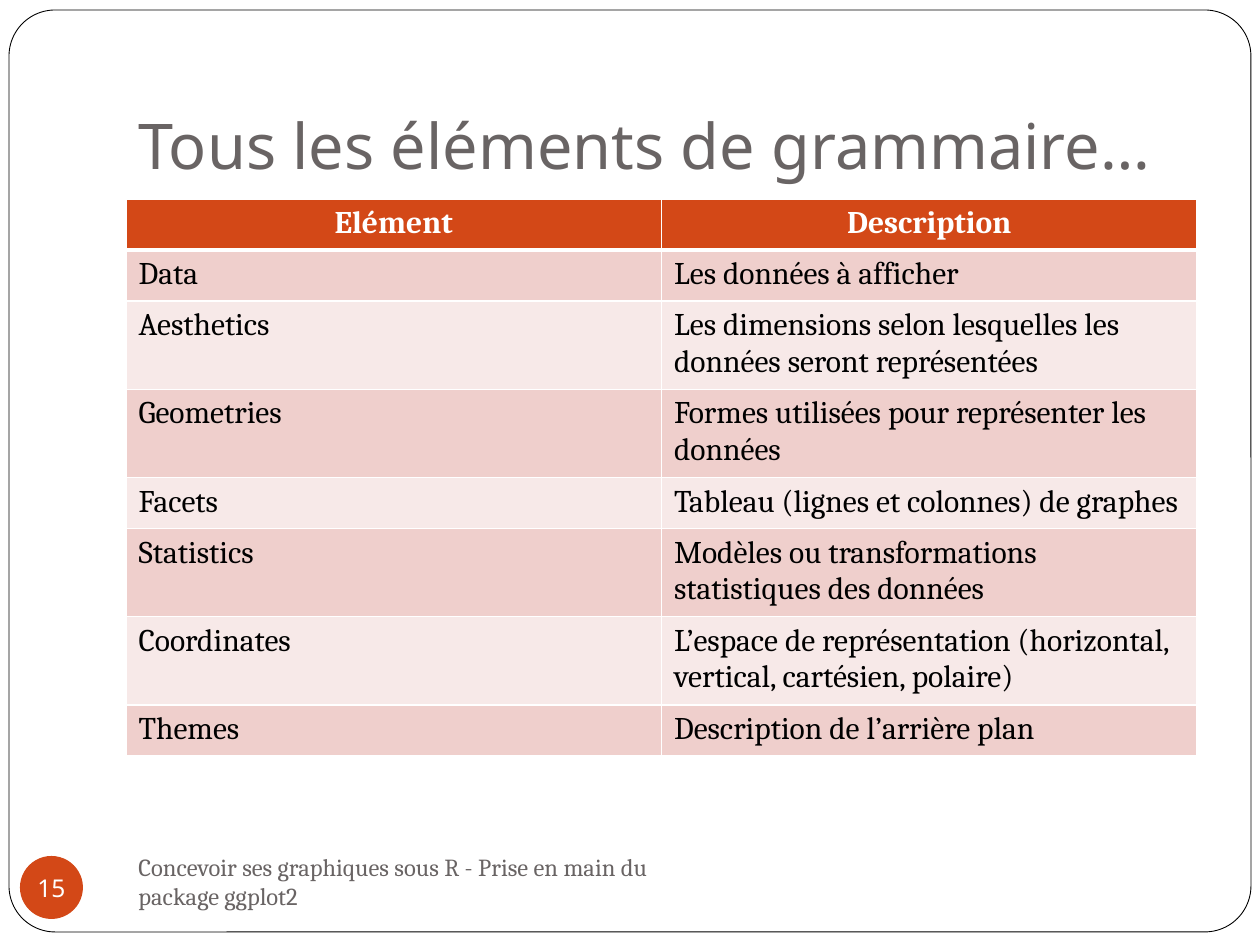
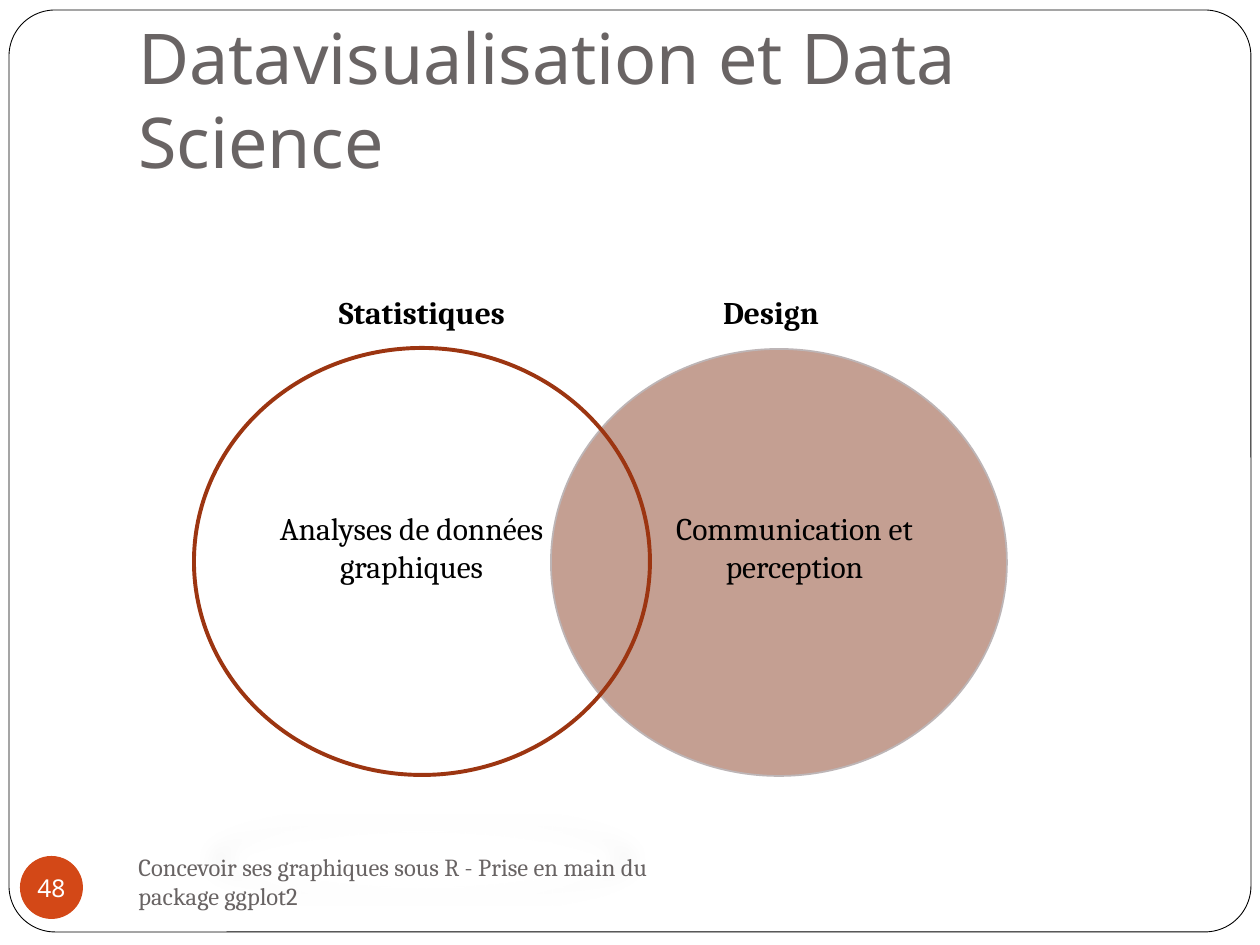
"""Two slides on the grammar of graphics: a table of elements and a Venn diagram."""
from dataclasses import dataclass
from typing import NamedTuple

from lxml.etree import SubElement
from pptx import Presentation
from pptx.dml.color import RGBColor
from pptx.enum.shapes import MSO_SHAPE
from pptx.enum.text import MSO_ANCHOR, PP_ALIGN
from pptx.oxml import parse_xml
from pptx.oxml.ns import nsdecls, qn
from pptx.util import Emu, Pt

EMU_PER_PIXEL = 914400 / 126


@dataclass(frozen=True)
class Theme:
    """Colours, fonts and type sizes shared by the slides."""
    accent: str = "D34817"
    outline: str = "9C3511"
    disc: str = "C49F92"
    disc_edge: str = "BDB5B6"
    band_dark: str = "EFCFCC"
    band_light: str = "F7E9E8"
    grey: str = "696464"
    black: str = "000000"
    white: str = "FFFFFF"
    heading_font: str = "Noto Sans"
    body_font: str = "Cambria"
    body_size: int = 18
    small_size: int = 14


THEME = Theme()


class Box(NamedTuple):
    """A rectangle in pixels."""
    left: int
    top: int
    width: int
    height: int

    def emu(self) -> list[Emu]:
        """Return the four lengths in EMU."""
        return [pixels(length) for length in self]


@dataclass(frozen=True)
class TextStyle:
    """How a piece of text is set."""
    size: int = THEME.body_size
    font: str = THEME.body_font
    color: str = THEME.black
    bold: bool = False
    align: PP_ALIGN = PP_ALIGN.LEFT


@dataclass(frozen=True)
class Label:
    """A centred caption of the Venn diagram."""
    box: Box
    text: str
    bold: bool = False


FOOTER = "Concevoir ses graphiques sous R - Prise en main du package ggplot2"
FRAME_BOX = Box(9, 10, 1242, 922)
TITLE_BOX = Box(126, 38, 1071, 157)
FOOTER_BOX = Box(126, 850, 546, 63)
NUMBER_BOX = Box(20, 856, 63, 63)
TABLE_BOX = Box(126, 199, 1071, 408)

FOOTER_STYLE = TextStyle(THEME.small_size, color=THEME.grey)
NUMBER_STYLE = TextStyle(THEME.small_size, THEME.heading_font, THEME.white,
                         align=PP_ALIGN.CENTER)
HEADER_STYLE = TextStyle(color=THEME.white, bold=True, align=PP_ALIGN.CENTER)

ELEMENTS = [
    ("Elément", "Description"),
    ("Data", "Les données à afficher"),
    ("Aesthetics", "Les dimensions selon lesquelles les données seront représentées"),
    ("Geometries", "Formes utilisées pour représenter les données"),
    ("Facets", "Tableau (lignes et colonnes) de graphes"),
    ("Statistics", "Modèles ou transformations statistiques des données"),
    ("Coordinates", "L’espace de représentation (horizontal, vertical, cartésien, polaire)"),
    ("Themes", "Description de l’arrière plan"),
]

LABELS = [
    Label(Box(233, 503, 357, 89), "Analyses de données graphiques"),
    Label(Box(616, 503, 357, 89), "Communication et perception"),
    Label(Box(263, 287, 318, 50), "Statistiques", bold=True),
    Label(Box(612, 287, 318, 50), "Design", bold=True),
]


def pixels(length: float) -> Emu:
    """Turn a length in pixels into EMU."""
    return Emu(round(length * EMU_PER_PIXEL))


def rgb(color: str) -> RGBColor:
    """Turn a hexadecimal string into a colour."""
    return RGBColor.from_string(color)


def write(frame, text: str, style: TextStyle) -> None:
    """Put text in a frame and format it."""
    frame.text = text
    for para in frame.paragraphs:
        para.alignment = style.align
        for span in para.runs:
            span.font.size = Pt(style.size)
            span.font.name = style.font
            span.font.bold = style.bold
            span.font.color.rgb = rgb(style.color)


def add_text(page, box: Box, text: str, style: TextStyle,
             anchor: MSO_ANCHOR = MSO_ANCHOR.TOP):
    """Add a wrapping text box and return its frame."""
    frame = page.shapes.add_textbox(*box.emu()).text_frame
    frame.word_wrap = True
    frame.vertical_anchor = anchor
    write(frame, text, style)
    return frame


def add_outline(page, kind: MSO_SHAPE, box: Box, fill: str | None = None,
                line: str | None = None, width: float = 1):
    """Add a preset shape with an optional fill and line."""
    shape = page.shapes.add_shape(kind, *box.emu())
    shape.shadow.inherit = False
    if fill:
        shape.fill.solid()
        shape.fill.fore_color.rgb = rgb(fill)
    else:
        shape.fill.background()
    if line:
        shape.line.color.rgb = rgb(line)
        shape.line.width = Pt(width)
    else:
        shape.line.fill.background()
    return shape


def add_floor_shadow(shape) -> None:
    """Cast a flattened, blurred shadow below a shape."""
    effects = shape.element.spPr.find(qn("a:effectLst"))
    shadow = SubElement(effects, qn("a:outerShdw"), blurRad=str(Pt(12)), dist=str(Pt(25)),
                        dir="5400000", sx="90000", sy="-19000", rotWithShape="0")
    color = SubElement(shadow, qn("a:srgbClr"), val=THEME.black)
    SubElement(color, qn("a:alpha"), val="15000")


def add_page(deck, title: str, title_size: int, number: int):
    """Add a slide with its frame, title, footer and number."""
    page = deck.slides.add_slide(deck.slide_layouts[6])
    frame = add_outline(page, MSO_SHAPE.ROUNDED_RECTANGLE, FRAME_BOX,
                        THEME.white, THEME.black, 0.5)
    frame.adjustments[0] = 0.05
    style = TextStyle(title_size, THEME.heading_font, THEME.grey)
    heading = add_text(page, TITLE_BOX, title, style, MSO_ANCHOR.BOTTOM)
    heading.margin_bottom = pixels(13)
    add_text(page, FOOTER_BOX, FOOTER, FOOTER_STYLE, MSO_ANCHOR.MIDDLE)
    badge = add_outline(page, MSO_SHAPE.OVAL, NUMBER_BOX, THEME.accent).text_frame
    badge.margin_left = badge.margin_right = badge.margin_top = badge.margin_bottom = 0
    badge.word_wrap = False
    badge.vertical_anchor = MSO_ANCHOR.MIDDLE
    write(badge, str(number), NUMBER_STYLE)
    return page


def set_borders(cell, top: float, bottom: float) -> None:
    """Draw white borders round a cell, with widths in points."""
    properties = cell._tc.get_or_add_tcPr()
    widths = {"lnL": 1, "lnR": 1, "lnT": top, "lnB": bottom}
    for index, (side, width) in enumerate(widths.items()):
        border = parse_xml(
            f'<a:{side} {nsdecls("a")} w="{Pt(width)}"><a:solidFill>'
            f'<a:srgbClr val="{THEME.white}"/></a:solidFill></a:{side}>')
        properties.insert(index, border)


def add_element_table(page, rows: list[tuple[str, str]]) -> None:
    """Add a banded table whose first row is the header."""
    table = page.shapes.add_table(len(rows), len(rows[0]), *TABLE_BOX.emu()).table
    bands = (THEME.band_light, THEME.band_dark)
    for row_index, texts in enumerate(rows):
        is_header = row_index == 0
        for column_index, text in enumerate(texts):
            cell = table.cell(row_index, column_index)
            cell.fill.solid()
            cell.fill.fore_color.rgb = rgb(THEME.accent if is_header else bands[row_index % 2])
            set_borders(cell, 3 if row_index == 1 else 1, 3 if is_header else 1)
            write(cell.text_frame, text, HEADER_STYLE if is_header else TextStyle())


def add_venn(page) -> None:
    """Add the two overlapping discs and their captions."""
    add_outline(page, MSO_SHAPE.OVAL, Box(551, 349, 456, 427), THEME.disc, THEME.disc_edge)
    ring = add_outline(page, MSO_SHAPE.OVAL, Box(194, 348, 456, 427),
                       line=THEME.outline, width=2.25)
    add_floor_shadow(ring)
    for label in LABELS:
        add_text(page, label.box, label.text,
                 TextStyle(bold=label.bold, align=PP_ALIGN.CENTER))


def main() -> None:
    """Build the deck and save it."""
    deck = Presentation()
    deck.slide_width, deck.slide_height = pixels(1260), pixels(945)
    add_element_table(add_page(deck, "Tous les éléments de grammaire…", 36, 15), ELEMENTS)
    add_venn(add_page(deck, "Datavisualisation et Data Science", 40, 48))
    deck.save("out.pptx")


main()
